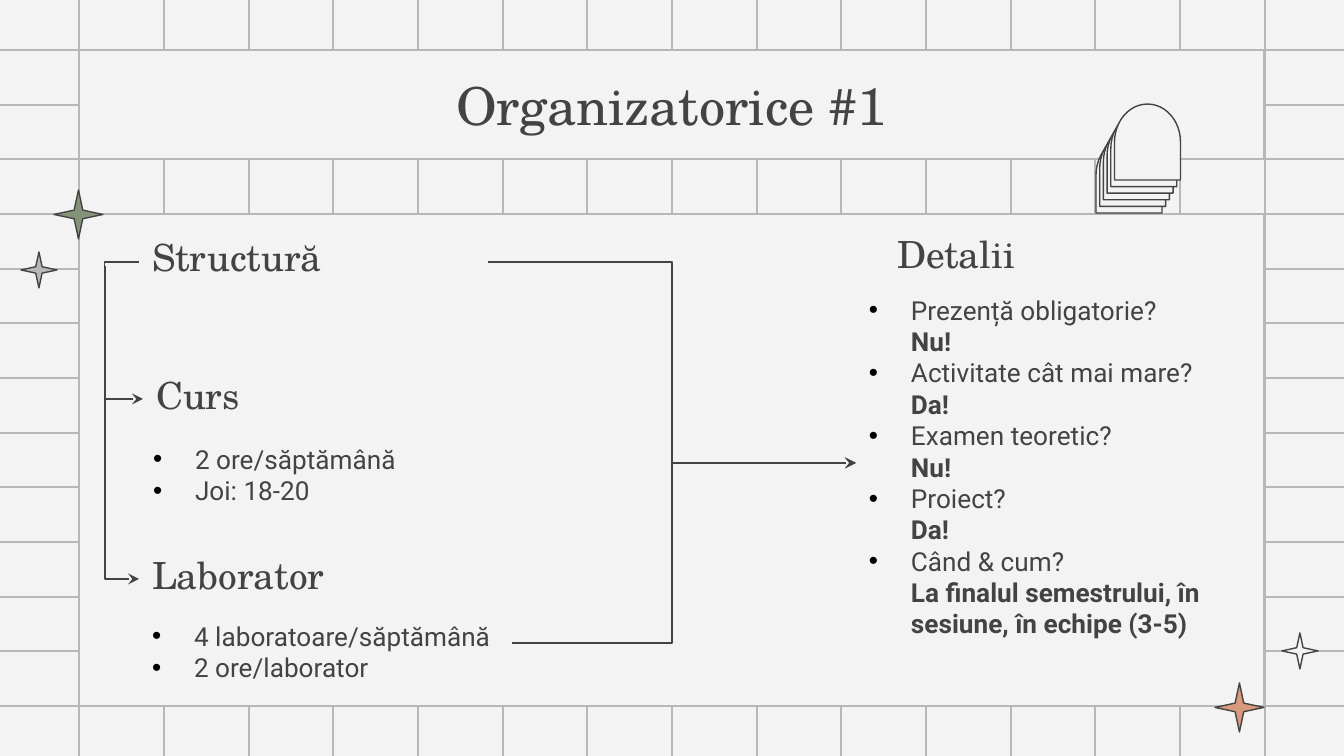
from lxml import etree
from pptx import Presentation
from pptx.dml.color import RGBColor
from pptx.enum.shapes import MSO_CONNECTOR, MSO_SHAPE
from pptx.enum.text import MSO_ANCHOR, PP_ALIGN
from pptx.oxml.ns import qn
from pptx.util import Emu, Pt

STRAIGHT, ELBOW = MSO_CONNECTOR.STRAIGHT, MSO_CONNECTOR.ELBOW
RECTANGLE, STAR = MSO_SHAPE.RECTANGLE, MSO_SHAPE.STAR_4_POINT
ARCH = MSO_SHAPE.FLOWCHART_DELAY
TOP, MIDDLE, BOTTOM = MSO_ANCHOR.TOP, MSO_ANCHOR.MIDDLE, MSO_ANCHOR.BOTTOM
LEFT, CENTER = PP_ALIGN.LEFT, PP_ALIGN.CENTER

PAPER = RGBColor(0xF3, 0xF3, 0xF3)
GRID = RGBColor(0xB7, 0xB7, 0xB7)
INK = RGBColor(0x43, 0x43, 0x43)
GREEN = RGBColor(0x85, 0x94, 0x77)
ORANGE = RGBColor(0xD9, 0x99, 0x7D)
HEADING_FONT, BODY_FONT = "TeX Gyre Schola", "Roboto"

WIDTH, HEIGHT = 1344, 756
CELL_WIDTH, CELL_HEIGHT = 84.67, 54.67
INSET, INDENT = 13, 42


def px(pixels):
    return Emu(round(pixels * 914400 / 134.4))


def add_line(page, kind, start, end, color):
    line = page.shapes.add_connector(kind, *map(px, (*start, *end)))
    line.line.color.rgb = color
    line.line.width = Pt(0.75)
    etree.SubElement(line.element.spPr, qn("a:effectLst"))
    return line


def add_arrowhead(line):
    stroke = line.element.spPr.find(qn("a:ln"))
    etree.SubElement(stroke, qn("a:tailEnd"), type="stealth")


def add_elbow(page, start, bend_x, end):
    """Arrow that runs sideways to bend_x, then up or down, then to its end."""
    elbow = add_line(page, ELBOW, start, end, INK)
    add_arrowhead(elbow)
    share = (bend_x - start[0]) / (end[0] - start[0])
    guides = elbow.element.spPr.find(qn("a:prstGeom")).find(qn("a:avLst"))
    etree.SubElement(guides, qn("a:gd"), name="adj1",
                     fmla=f"val {round(share * 100000)}")


def add_corner(page, start, end):
    """Arrow that runs down, then right: a turned and mirrored corner."""
    middle_x, middle_y = (start[0] + end[0]) / 2, (start[1] + end[1]) / 2
    half_long, half_short = (end[1] - start[1]) / 2, (end[0] - start[0]) / 2
    corner = add_line(page, ELBOW,
                      (middle_x + half_long, middle_y - half_short),
                      (middle_x - half_long, middle_y + half_short), INK)
    add_arrowhead(corner)
    properties = corner.element.spPr
    properties.find(qn("a:xfrm")).set("rot", str(270 * 60000))
    properties.find(qn("a:prstGeom")).set("prst", "bentConnector2")


def add_shape(page, kind, box, fill, color):
    shape = page.shapes.add_shape(kind, *map(px, box))
    shape.shadow.inherit = False
    shape.fill.solid()
    shape.fill.fore_color.rgb = fill
    shape.line.color.rgb = color
    shape.line.width = Pt(0.75)
    return shape


def set_frame(shape, anchor):
    frame = shape.text_frame
    frame.word_wrap = True
    frame.vertical_anchor = anchor
    frame.margin_left = frame.margin_right = px(INSET)
    frame.margin_top = frame.margin_bottom = px(INSET)
    return frame


def set_font(para, name, size):
    para.font.name = name
    para.font.size = Pt(size)
    para.font.color.rgb = INK


def write_heading(shape, text, size, anchor, align):
    para = set_frame(shape, anchor).paragraphs[0]
    para.text = text
    para.alignment = align
    set_font(para, HEADING_FONT, size)


def add_heading(page, box, text):
    write_heading(page.shapes.add_textbox(*map(px, box)), text, 20, BOTTOM, LEFT)


def set_bullet(para):
    properties = para._p.get_or_add_pPr()
    properties.set("marL", str(px(INDENT)))
    properties.set("indent", str(-px(INDENT)))
    color = etree.SubElement(properties, qn("a:buClr"))
    etree.SubElement(color, qn("a:srgbClr"), val="000000")
    etree.SubElement(properties, qn("a:buFont"), typeface="Arial")
    etree.SubElement(properties, qn("a:buChar"), char="•")


def add_bullets(page, box, items):
    """Each item is a line of text and a bold answer, which may be empty."""
    frame = set_frame(page.shapes.add_textbox(*map(px, box)), TOP)
    for index, (text, answer) in enumerate(items):
        para = frame.add_paragraph() if index else frame.paragraphs[0]
        set_bullet(para)
        set_font(para, BODY_FONT, 14)
        para.add_run().text = text
        if answer:
            para.add_line_break()
            span = para.add_run()
            span.text = answer
            span.font.bold = True


def add_background(page):
    page.background.fill.solid()
    page.background.fill.fore_color.rgb = PAPER
    for step in range(-7, 8):
        x = round(WIDTH / 2 + step * CELL_WIDTH)
        add_line(page, STRAIGHT, (x, 0), (x, HEIGHT), GRID)
    for step in range(-6, 7):
        y = round(HEIGHT / 2 + step * CELL_HEIGHT)
        add_line(page, STRAIGHT, (0, y), (WIDTH, y), GRID)
    add_shape(page, RECTANGLE, (79, 214, 1185, 492), PAPER, GRID)


def add_stars(page):
    for x, y, size, fill in ((1215, 683, 49, ORANGE), (1282, 633, 36, PAPER),
                             (54, 190, 49, GREEN), (21, 252, 36, GRID)):
        star = add_shape(page, STAR, (x, y, size, size), fill, INK)
        star.adjustments[0] = 0.125


def add_arches(page):
    for step in range(6):
        box = (1091 + 3.7 * step, 142 - 6.6 * step, 76, 66)
        add_shape(page, ARCH, box, PAPER, INK).rotation = 270


def main():
    deck = Presentation()
    deck.slide_width, deck.slide_height = px(WIDTH), px(HEIGHT)
    page = deck.slides.add_slide(deck.slide_layouts[6])
    add_background(page)
    add_stars(page)

    # Title
    title = add_shape(page, RECTANGLE, (79, 50, 1185, 109), PAPER, GRID)
    write_heading(title, "Organizatorice #1", 28, MIDDLE, CENTER)

    # Structure of the course
    add_heading(page, (139, 231, 350, 61), "Structură")
    add_heading(page, (143, 369, 350, 61), "Curs")
    add_heading(page, (139, 549, 350, 61), "Laborator")
    add_bullets(page, (140, 430, 350, 74),
                [("2 ore/săptămână", ""), ("Joi: 18-20", "")])
    add_bullets(page, (139, 607, 395, 74),
                [("4 laboratoare/săptămână", ""), ("2 ore/laborator", "")])
    add_elbow(page, (139, 262), 105, (143, 399))
    add_corner(page, (105, 266), (139, 579))

    # Details
    add_heading(page, (884, 235, 350, 54), "Detalii")
    add_bullets(page, (856, 281, 383, 364), [
        ("Prezență obligatorie?", "Nu!"),
        ("Activitate cât mai mare?", "Da!"),
        ("Examen teoretic?", "Nu!"),
        ("Proiect?", "Da!"),
        ("Când & cum?", "La finalul semestrului, în sesiune, în echipe (3-5)"),
    ])
    for start in ((488, 262), (512, 643)):
        add_elbow(page, start, 672, (856, 463))

    add_arches(page)
    deck.save("out.pptx")


main()
